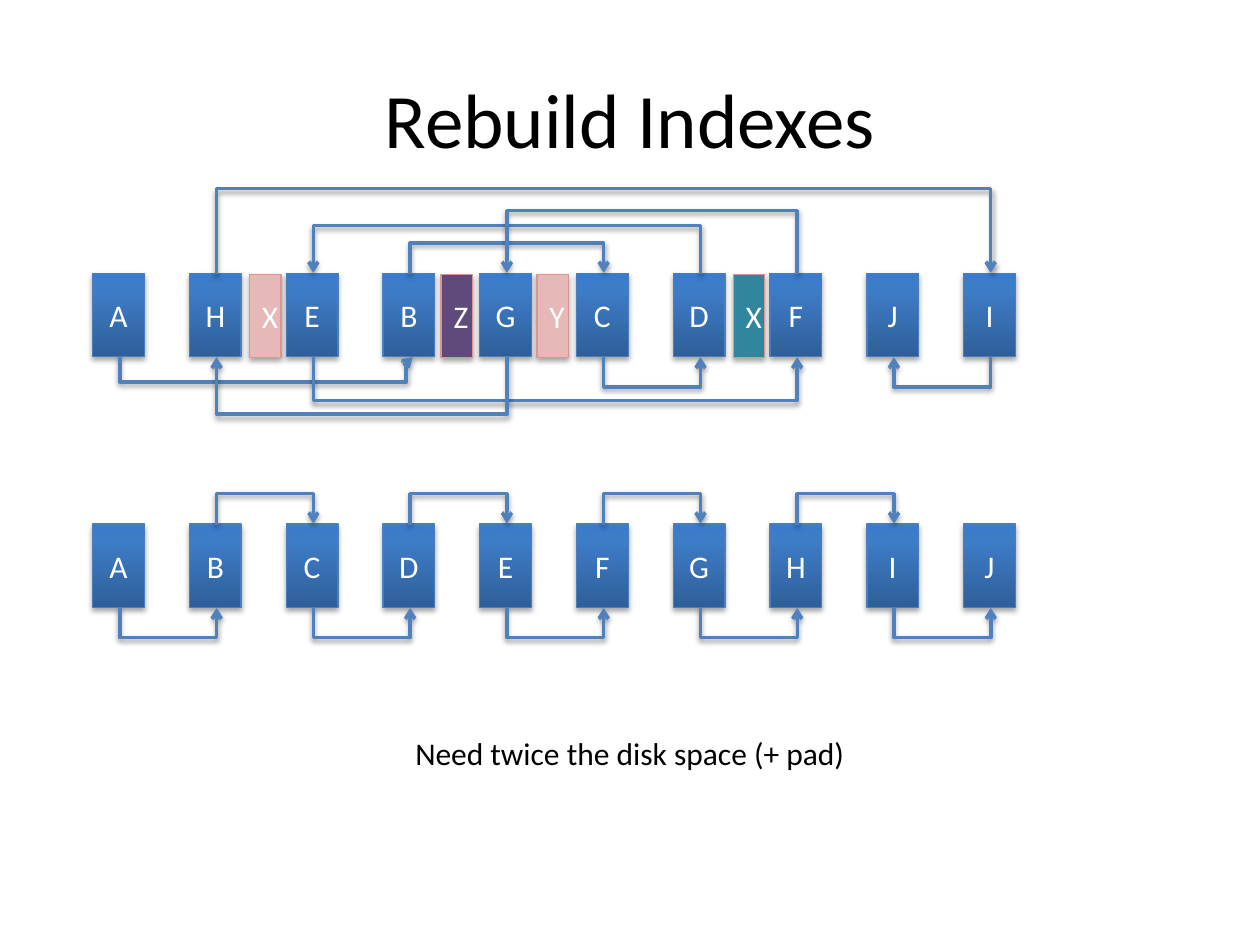
from copy import deepcopy
from dataclasses import dataclass

from lxml import etree
from pptx import Presentation
from pptx.dml.color import RGBColor
from pptx.enum.shapes import MSO_CONNECTOR, MSO_SHAPE
from pptx.enum.text import MSO_ANCHOR, PP_ALIGN
from pptx.oxml.ns import qn
from pptx.util import Inches, Pt

RECTANGLE = MSO_SHAPE.RECTANGLE
ELBOW = MSO_CONNECTOR.ELBOW
CENTER = PP_ALIGN.CENTER
MIDDLE, TOP = MSO_ANCHOR.MIDDLE, MSO_ANCHOR.TOP

# Grid in inches: one page per column
SLIDE_WIDTH, SLIDE_HEIGHT = 10, 7.5
GRID_LEFT, COLUMN = 0.736, 0.768
PAGE_WIDTH, PAGE_HEIGHT = 0.41, 0.66
PAD_WIDTH, PAD_DROP = 0.25, 0.01
LINK_OFFSET, LINK_SPAN = 0.01, 0.01


@dataclass(frozen=True)
class Theme:
    font: str = "Calibri"
    title_size: int = 44
    body_size: int = 18
    dark_text: str = "000000"
    light_text: str = "FFFFFF"
    page_stops: tuple = ((0, "2F5F99"), (0.8, "3D7CC7"), (1, "3A7CCB"))
    page_line: str = "4B7EBC"
    pad_line: str = "D99694"
    link: str = "4F81BD"
    shadow: str = "000000"
    border_width: float = 0.75
    link_width: float = 2


@dataclass(frozen=True)
class Link:
    """Depth of the bend; turn is the share of the way at which the tip is reached."""
    depth: float
    end_shift: float = 0
    turn: float | None = None


@dataclass(frozen=True)
class PageRow:
    """Pages in disk order; links follow the alphabet, alternating below and above."""
    top: float
    pages: str
    links: tuple[Link, ...]


@dataclass(frozen=True)
class Pad:
    column: float
    label: str
    color: str


THEME = Theme()
FRAGMENTED = PageRow(2.17, "AHEBGCDFJI", (
    Link(0.21, end_shift=0.02, turn=0.978), Link(0.25), Link(0.25),
    Link(0.39), Link(0.36), Link(0.51), Link(0.47), Link(0.69), Link(0.25)))
REBUILT = PageRow(4.16, "ABCDEFGHIJ", (Link(0.25),) * 9)
PADS = (Pad(1.62, "X", "E6B9B8"), Pad(4.59, "Y", "E6B9B8"),
        Pad(3.6, "Z", "604A7B"), Pad(6.62, "X", "31859C"))


def rgb(color: str) -> RGBColor:
    return RGBColor.from_string(color)


def column_left(column: float) -> float:
    return GRID_LEFT + column * COLUMN


def write_text(shape, text: str, *, size: int = THEME.body_size,
               color: str = THEME.dark_text, anchor=MIDDLE) -> None:
    frame = shape.text_frame
    frame.word_wrap = True
    frame.vertical_anchor = anchor
    paragraph = frame.paragraphs[0]
    paragraph.alignment = CENTER
    run = paragraph.add_run()
    run.text = text
    run.font.name = THEME.font
    run.font.size = Pt(size)
    run.font.color.rgb = rgb(color)


def add_text(slide, text: str, left: float, top: float, width: float,
             height: float, **text_format) -> None:
    """Place a text box whose bounds are shares of the slide."""
    box = slide.shapes.add_textbox(
        Inches(left * SLIDE_WIDTH), Inches(top * SLIDE_HEIGHT),
        Inches(width * SLIDE_WIDTH), Inches(height * SLIDE_HEIGHT))
    write_text(box, text, **text_format)


def add_shadow(effects, distance: float, opacity: int) -> None:
    shadow = etree.SubElement(effects, qn("a:outerShdw"), blurRad=str(Pt(3.1)),
                              dist=str(Pt(distance)), dir="5400000", rotWithShape="0")
    color = etree.SubElement(shadow, qn("a:srgbClr"), val=THEME.shadow)
    etree.SubElement(color, qn("a:alpha"), val=str(opacity * 1000))


def add_block(slide, label: str, left: float, top: float, width: float, line: str):
    block = slide.shapes.add_shape(RECTANGLE, Inches(left), Inches(top),
                                   Inches(width), Inches(PAGE_HEIGHT))
    block.line.color.rgb = rgb(line)
    block.line.width = Pt(THEME.border_width)
    block.shadow.inherit = False
    add_shadow(block._element.spPr.find(qn("a:effectLst")), 1.8, 35)
    write_text(block, label, color=THEME.light_text)
    return block


def fill_page(page) -> None:
    fill = page.fill
    fill.gradient()
    fill.gradient_angle = 90
    stop_list = page._element.spPr.find(".//" + qn("a:gsLst"))
    stop_list.append(deepcopy(stop_list[-1]))
    for stop, (position, color) in zip(fill.gradient_stops, THEME.page_stops):
        stop.position = position
        stop.color.rgb = rgb(color)


def add_link(slide, start: float, end: float, edge: float, below: bool, link: Link) -> None:
    """Join two points on one edge by a U-shaped elbow, turned a quarter circle."""
    center, length = (start + end) / 2, abs(end - start)
    left, top = center - LINK_SPAN / 2, edge - length / 2
    connector = slide.shapes.add_connector(
        ELBOW, Inches(left), Inches(top), Inches(left + LINK_SPAN), Inches(top + length))
    connector.line.color.rgb = rgb(THEME.link)
    connector.line.width = Pt(THEME.link_width)
    properties = connector._element.spPr

    rightward = end > start
    frame = properties.find(qn("a:xfrm"))
    frame.set("rot", str((270 if below == rightward else 90) * 60000))
    frame.set("flipH", str(int(rightward)))
    frame.set("flipV", str(int(not below)))

    geometry = properties.find(qn("a:prstGeom"))
    bends = [link.depth / LINK_SPAN]
    if link.turn is not None:
        geometry.set("prst", "bentConnector4")
        bends.append(link.turn)
    guides = geometry.find(qn("a:avLst"))
    for number, bend in enumerate(bends, 1):
        etree.SubElement(guides, qn("a:gd"), name=f"adj{number}",
                         fmla=f"val {round(bend * 100000)}")

    etree.SubElement(properties.find(qn("a:ln")), qn("a:tailEnd"), type="arrow")
    add_shadow(etree.SubElement(properties, qn("a:effectLst")), 1.6, 38)


def add_page_row(slide, row: PageRow) -> None:
    for column, label in enumerate(row.pages):
        fill_page(add_block(slide, label, column_left(column), row.top,
                            PAGE_WIDTH, THEME.page_line))
    centers = [column_left(row.pages.index(label)) + PAGE_WIDTH / 2 + LINK_OFFSET
               for label in sorted(row.pages)]
    for number, link in enumerate(row.links):
        below = number % 2 == 0
        edge = row.top + (PAGE_HEIGHT if below else 0)
        add_link(slide, centers[number], centers[number + 1] + link.end_shift,
                 edge, below, link)


def add_pad(slide, pad: Pad) -> None:
    block = add_block(slide, pad.label, column_left(pad.column),
                      FRAGMENTED.top + PAD_DROP, PAD_WIDTH, THEME.pad_line)
    block.fill.solid()
    block.fill.fore_color.rgb = rgb(pad.color)


def main() -> None:
    presentation = Presentation()
    presentation.slide_width = Inches(SLIDE_WIDTH)
    presentation.slide_height = Inches(SLIDE_HEIGHT)
    slide = presentation.slides.add_slide(presentation.slide_layouts[6])
    add_text(slide, "Rebuild Indexes", 0.05, 0.04, 0.9, 0.17, size=THEME.title_size)
    add_page_row(slide, FRAGMENTED)
    for pad in PADS:
        add_pad(slide, pad)
    add_page_row(slide, REBUILT)
    add_text(slide, "Need twice the disk space (+ pad)", 0.125, 0.77, 0.75, 0.05, anchor=TOP)
    presentation.save("out.pptx")


if __name__ == "__main__":
    main()
